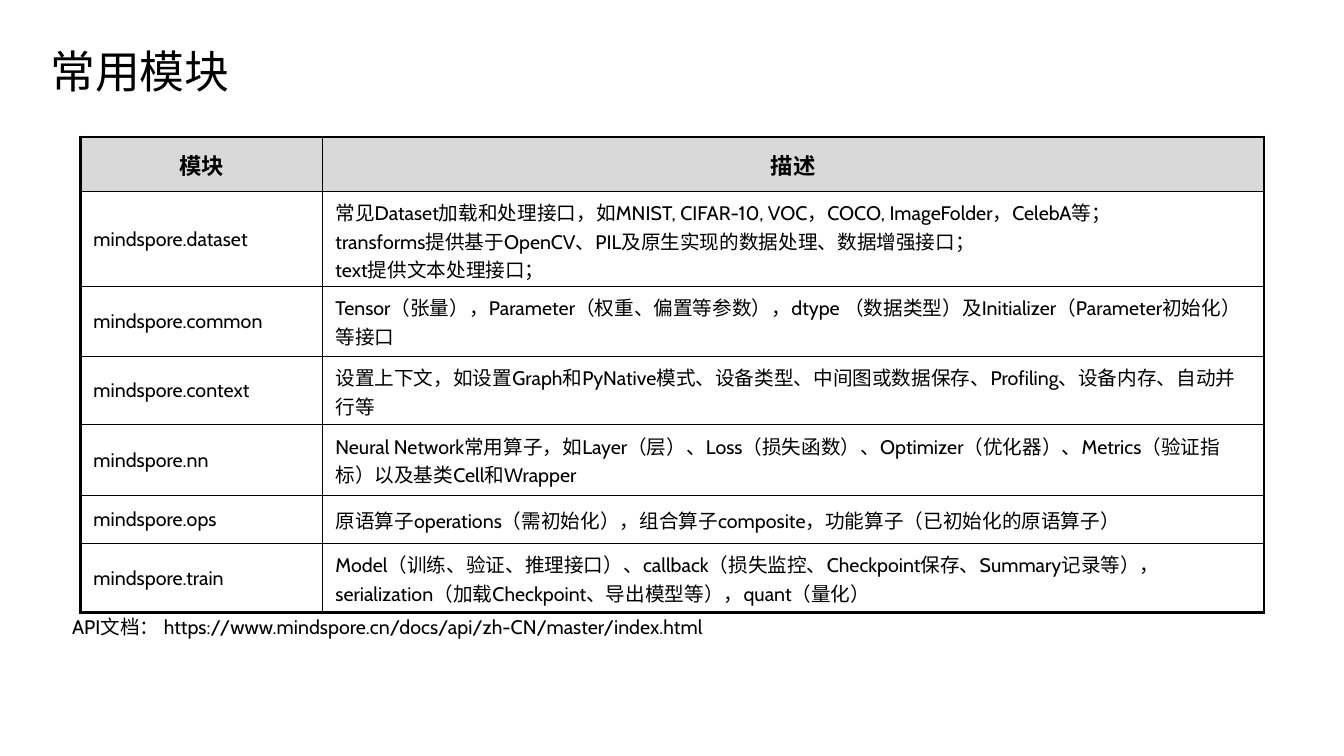
from lxml import etree
from pptx import Presentation
from pptx.dml.color import RGBColor
from pptx.enum.text import MSO_ANCHOR, PP_ALIGN
from pptx.oxml.ns import qn
from pptx.util import Pt

TOP, MIDDLE = MSO_ANCHOR.TOP, MSO_ANCHOR.MIDDLE
LEFT, CENTER = PP_ALIGN.LEFT, PP_ALIGN.CENTER
COLUMN_WIDTHS = [172.8, 672.5]
ROW_HEIGHTS = [38.9, 68, 49.7, 49, 50.4, 34.5, 49]
MODULES = [
    ("模块", ["描述"]),
    ("mindspore.dataset", [
        "常见Dataset加载和处理接口，如MNIST, CIFAR-10, VOC，COCO, ImageFolder，CelebA等；",
        "transforms提供基于OpenCV、PIL及原生实现的数据处理、数据增强接口；",
        "text提供文本处理接口；"]),
    ("mindspore.common", [
        "Tensor（张量），Parameter（权重、偏置等参数），dtype （数据类型）及Initializer（Parameter初始化）等接口"]),
    ("mindspore.context", [
        "设置上下文，如设置Graph和PyNative模式、设备类型、中间图或数据保存、Profiling、设备内存、自动并行等"]),
    ("mindspore.nn", [
        "Neural Network常用算子，如Layer（层）、Loss（损失函数）、Optimizer（优化器）、Metrics（验证指标）以及基类Cell和Wrapper"]),
    ("mindspore.ops", [
        "原语算子operations（需初始化），组合算子composite，功能算子（已初始化的原语算子）"]),
    ("mindspore.train", [
        "Model（训练、验证、推理接口）、callback（损失监控、Checkpoint保存、Summary记录等），serialization（加载Checkpoint、导出模型等），quant（量化）"]),
]


def color(value):
    return RGBColor.from_string(value)


class SlideBuilder:
    font = "Cabin"
    ink = "000000"
    header_fill = "D9D9D9"
    thin, thick = 1, 2.25

    def __init__(self, page):
        self.page = page

    def add_lines(self, frame, lines, size, bold=False, align=LEFT, spacing=None):
        for index, line in enumerate(lines):
            para = frame.add_paragraph() if index else frame.paragraphs[0]
            para.alignment = align
            if spacing:
                para.line_spacing = spacing
            span = para.add_run()
            span.text = line
            span.font.name = self.font
            span.font.size = Pt(size)
            span.font.bold = bold
            span.font.color.rgb = color(self.ink)

    def text(self, left, top, width, height, line, size, spacing=None):
        box = self.page.shapes.add_textbox(Pt(left), Pt(top), Pt(width), Pt(height))
        frame = box.text_frame
        frame.word_wrap = True
        frame.vertical_anchor = TOP
        frame.margin_left = frame.margin_right = 0
        frame.margin_top = frame.margin_bottom = 0
        self.add_lines(frame, [line], size, spacing=spacing)

    def border(self, cell, side, width):
        properties = cell._tc.get_or_add_tcPr()
        line = etree.SubElement(properties, qn(f"a:ln{side}"), w=str(Pt(width)))
        fill = etree.SubElement(line, qn("a:solidFill"))
        etree.SubElement(fill, qn("a:srgbClr"), val=self.ink)

    def table(self, left, top, widths, heights, rows):
        grid = self.page.shapes.add_table(
            len(heights), len(widths), Pt(left), Pt(top),
            Pt(sum(widths)), Pt(sum(heights))).table
        grid.first_row = grid.horz_banding = False
        for column, width in zip(grid.columns, widths):
            column.width = Pt(width)
        for row, height in zip(grid.rows, heights):
            row.height = Pt(height)
        last_row, last_column = len(heights) - 1, len(widths) - 1
        for r, (module, description) in enumerate(rows):
            for c, lines in enumerate([[module], description]):
                cell = grid.cell(r, c)
                outer = {"L": c == 0, "R": c == last_column,
                         "T": r == 0, "B": r == last_row}
                for side, is_outer in outer.items():
                    self.border(cell, side, self.thick if is_outer else self.thin)
                self.fill_cell(cell, lines, r == 0)

    def fill_cell(self, cell, lines, header):
        cell.vertical_anchor = MIDDLE
        cell.margin_left = cell.margin_right = Pt(9.2)
        cell.margin_top = cell.margin_bottom = Pt(4.6)
        if header:
            cell.fill.solid()
            cell.fill.fore_color.rgb = color(self.header_fill)
            self.add_lines(cell.text_frame, lines, 16, True, CENTER)
        else:
            cell.fill.background()
            self.add_lines(cell.text_frame, lines, 14)


def main():
    deck = Presentation()
    deck.slide_width, deck.slide_height = Pt(960), Pt(540)
    builder = SlideBuilder(deck.slides.add_slide(deck.slide_layouts[6]))
    builder.text(36, 35.3, 889, 38, "常用模块", 32, 0.9)
    builder.text(51.5, 439, 840, 21,
                 "API文档： https://www.mindspore.cn/docs/api/zh-CN/master/index.html", 14)
    builder.table(57.6, 97.9, COLUMN_WIDTHS, ROW_HEIGHTS, MODULES)
    deck.save("out.pptx")


if __name__ == "__main__":
    main()
